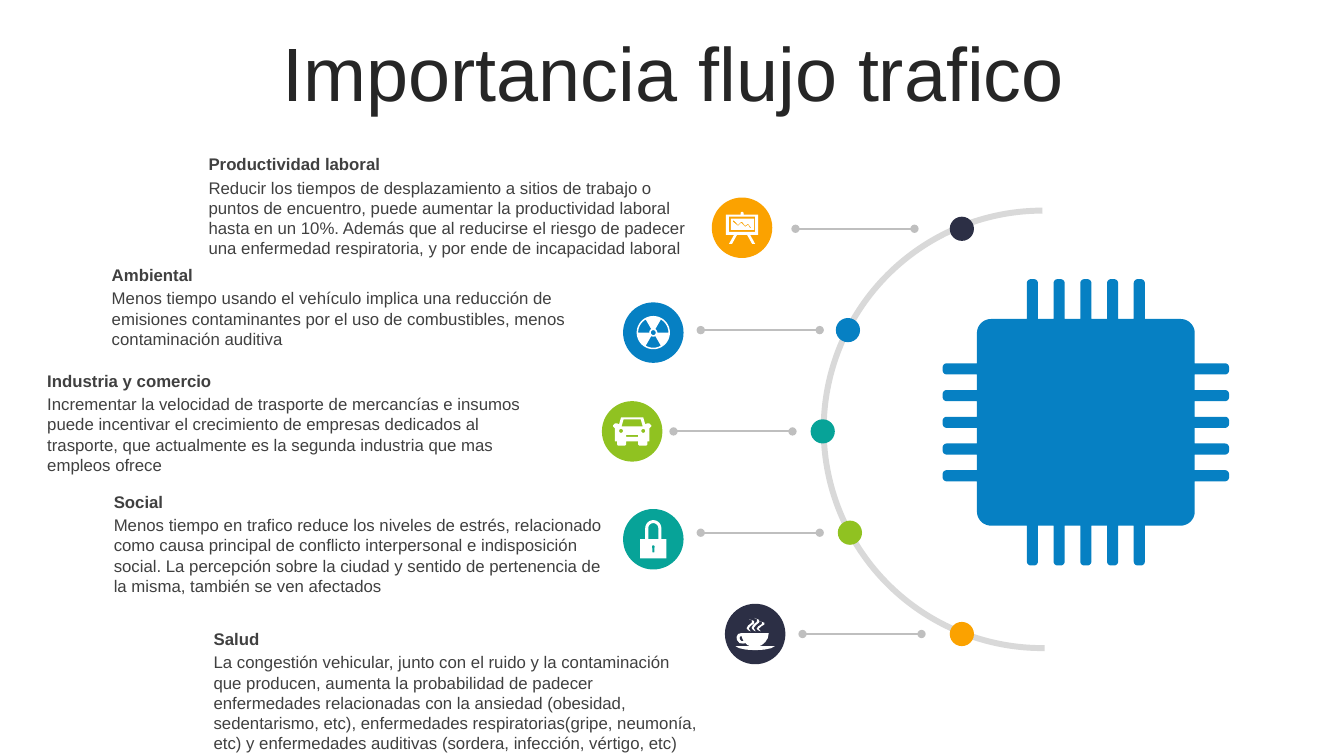
from math import cos, radians, sin

from lxml.etree import SubElement
from pptx import Presentation
from pptx.dml.color import RGBColor
from pptx.enum.shapes import MSO_CONNECTOR, MSO_SHAPE
from pptx.enum.text import MSO_ANCHOR, MSO_AUTO_SIZE, PP_ALIGN
from pptx.oxml.ns import qn
from pptx.util import Inches, Pt

NAVY = RGBColor(0x2C, 0x2F, 0x45)
BLUE = RGBColor(0x06, 0x80, 0xC3)
TEAL = RGBColor(0x07, 0xA3, 0x98)
GREEN = RGBColor(0x90, 0xC2, 0x21)
ORANGE = RGBColor(0xFB, 0xA2, 0x00)
WHITE = RGBColor(0xFF, 0xFF, 0xFF)
BLACK = RGBColor(0x26, 0x26, 0x26)
GRAY = RGBColor(0x40, 0x40, 0x40)
SILVER = RGBColor(0xBF, 0xBF, 0xBF)
PALE = RGBColor(0xD9, 0xD9, 0xD9)
FONT = "Arial"


def arc(x, y, r, start, end, steps=12):
    """Points along a circle, with angles in degrees clockwise from the right."""
    angles = [radians(start + (end - start) * i / steps) for i in range(steps + 1)]
    return [(x + r * cos(a), y + r * sin(a)) for a in angles]


def rect(left, top, right, bottom):
    return [(left, top), (right, top), (right, bottom), (left, bottom)]


def mirror(half):
    return half + [(-x, y) for x, y in reversed(half)]


def easel():
    frame = [(0, -16), (-1.5, -15), (-1.5, -13), (-16, -13), (-16, 7), (-8, 7),
             (-13, 16), (-10, 16), (-5, 7)]
    graph = [(-9, -7), (-8, -7), (-4, -3), (-1, -6), (0, -6), (3, -2), (6, -4), (9, 0),
             (8, 0.5), (6, -3), (3, -1), (-1, -5), (-4, -2), (-9, -6)]
    return [mirror(frame), rect(-13, -11, 13, 4), rect(-11, -9, 12, 2), graph]


def atom():
    blades = [arc(0, 0, 15, a, a + 60) + arc(0, 0, 4, a + 60, a) for a in (60, 180, 300)]
    return [arc(0, 0, 16.5, 0, 360, 48), arc(0, 0, 2.5, 0, 360)] + blades


def car():
    body = [(11, -14), (13, -7), (15, -8), (17, -8), (19, -6), (19, -5), (17, -3), (17, 10),
            (15, 10), (15, 13), (14, 14), (7, 14), (6, 13), (6, 10)]
    lamps = [arc(x, -0.5, 2, 0, 360) for x in (-11, 11)]
    return [mirror(body), mirror([(8.5, -12), (10.5, -5)]), rect(-6, 3.5, 6, 5.5)] + lamps


def lock():
    body = arc(0, -11, 8, 180, 360) + [(8, 0), (13, 0), (13, 19), (-13, 19), (-13, 0), (-8, 0)]
    hole = arc(0, -11, 5, 180, 360) + [(5, 0), (-5, 0)]
    key = arc(0, 7.5, 1.5, 180, 360) + [(1, 9), (1, 13), (-1, 13), (-1, 9)]
    return [body, hole, key]


def cup():
    bowl = [(-13.5, -1), (13.5, -1), (12.5, 4), (10, 8), (6.5, 11), (4, 12), (19.5, 12),
            (16, 14), (9, 15.5), (0, 16), (-9, 15.5), (-16, 14), (-19.5, 12), (-5, 12),
            (-7.5, 11), (-9.5, 9), (-12, 9.5), (-15.5, 9), (-18, 6), (-18.5, 3), (-17, 0)]
    grip = [(-13.5, 2), (-12.5, 5), (-11.5, 7), (-13.5, 7), (-15, 5.5), (-15.5, 4), (-15, 2.5)]
    steam = [(-1, -13), (2, -11.5), (1.5, -9), (-2, -6), (-3.5, -3), (-2, -1), (0.5, 0.5),
             (-1.5, -3), (1, -6), (4, -8.5), (4, -11)]
    plumes = [[(x + shift, y * tall - 3) for x, y in steam]
              for shift, tall in ((-5, 0.9), (0, 1), (5, 0.75))]
    return [bowl, grip] + plumes


ITEMS = [  # heading, text, lines, text corner, icon centre, icon, colour, line end, dot
    ("Productividad laboral",
     "Reducir los tiempos de desplazamiento a sitios de trabajo o puntos de encuentro, puede "
     "aumentar la productividad laboral hasta en un 10%. Además que al reducirse el riesgo de "
     "padecer una enfermedad respiratoria, y por ende de incapacidad laboral",
     4, (1.97, 1.48), (7.36, 2.26), easel, ORANGE, 9.07, 9.54, NAVY),
    ("Ambiental",
     "Menos tiempo usando el vehículo implica una reducción de emisiones contaminantes por el "
     "uso de combustibles, menos contaminación auditiva",
     3, (1.01, 2.58), (6.48, 3.3), atom, BLUE, 8.13, 8.41, BLUE),
    ("Industria y comercio",
     "Incrementar la velocidad de trasporte de mercancías e insumos puede incentivar el "
     "crecimiento de empresas dedicados al trasporte, que actualmente es la segunda industria "
     "que mas empleos ofrece",
     4, (0.37, 3.63), (6.27, 4.28), car, GREEN, 7.86, 8.16, TEAL),
    ("Social",
     "Menos tiempo en trafico reduce los niveles de estrés, relacionado como causa principal "
     "de conflicto interpersonal e indisposición social. La percepción sobre la ciudad y "
     "sentido de pertenencia de la misma, también se ven afectados",
     4, (1.03, 4.83), (6.48, 5.35), lock, TEAL, 8.13, 8.43, GREEN),
    ("Salud",
     "La congestión vehicular, junto con el ruido y la contaminación que producen, aumenta la "
     "probabilidad de padecer enfermedades relacionadas con la ansiedad (obesidad, "
     "sedentarismo, etc), enfermedades respiratorias(gripe, neumonía, etc) y enfermedades "
     "auditivas (sordera, infección, vértigo, etc)",
     5, (2.02, 6.19), (7.49, 6.29), cup, NAVY, 9.14, 9.54, ORANGE),
]


def paint(shape, color):
    shape.shadow.inherit = False
    shape.fill.solid()
    shape.fill.fore_color.rgb = color
    shape.line.fill.background()


def trace(shapes, rings, x, y, unit, color):
    """Draw rings of points around (x, y) as one shape; inner rings cut holes."""
    rings = [[(Inches(x + u * unit), Inches(y + v * unit)) for u, v in ring] for ring in rings]
    pen = shapes.build_freeform(*rings[0][0])
    for i, ring in enumerate(rings):
        if i:
            pen.move_to(*ring[0])
        pen.add_line_segments(ring[1:], close=True)
    paint(pen.convert_to_shape(), color)


def disc(shapes, x, y, size, color):
    paint(shapes.add_shape(MSO_SHAPE.OVAL, Inches(x - size / 2), Inches(y - size / 2),
                           Inches(size), Inches(size)), color)


def style(run, size, color, bold=False):
    run.font.name, run.font.size, run.font.bold = FONT, Pt(size), bold
    run.font.color.rgb = color


def add_title(slide, left, top, width, height):
    title = slide.shapes.title
    title.left, title.top = Inches(left), Inches(top)
    title.width, title.height = Inches(width), Inches(height)
    frame = title.text_frame
    frame.text = "Importancia flujo trafico"
    frame.auto_size, frame.vertical_anchor = MSO_AUTO_SIZE.NONE, MSO_ANCHOR.MIDDLE
    para = frame.paragraphs[0]
    para.alignment, para.line_spacing = PP_ALIGN.CENTER, 0.9
    style(para.runs[0], 54, BLACK)


def add_note(shapes, left, top, head, text, lines):
    group = shapes.add_group_shape()
    for words, drop, height, bold in ((text, 0.23, 0.11 + 0.2 * lines, False),
                                      (head, 0, 0.3, True)):
        box = group.shapes.add_textbox(Inches(left), Inches(top + drop),
                                       Inches(5.05), Inches(height))
        frame = box.text_frame
        frame.word_wrap, frame.auto_size = True, MSO_AUTO_SIZE.SHAPE_TO_FIT_TEXT
        frame.text = words
        style(frame.paragraphs[0].runs[0], 12, GRAY, bold)


def add_link(shapes, right, y, length):
    link = shapes.add_connector(MSO_CONNECTOR.STRAIGHT, Inches(right), Inches(y),
                                Inches(right - length), Inches(y))
    link.line.color.rgb, link.line.width = SILVER, Pt(1.5)
    props = link._element.spPr
    for end in ("a:headEnd", "a:tailEnd"):
        SubElement(props.find(qn("a:ln")), qn(end), type="oval")
    SubElement(props, qn("a:effectLst"))


def add_curve(shapes, left, top, size):
    curve = shapes.add_shape(MSO_SHAPE.ARC, Inches(left), Inches(top),
                             Inches(size), Inches(size))
    curve.adjustments[0], curve.adjustments[1] = 53.67, 162
    curve.shadow.inherit = False
    curve.fill.background()
    curve.line.color.rgb, curve.line.width = PALE, Pt(4.25)


def add_chip(shapes, x, y, wide, high):
    """Walk the four sides of the chip, turning a quarter after each."""
    tip, ring = 1.42, []
    for turn in range(4):
        along, out = (wide / 2, high / 2) if turn % 2 == 0 else (high / 2, wide / 2)
        side = arc(0.14 - along, 0.14 - out, 0.14, 180, 270)
        for i in range(5):
            mid = 0.265 * (i - 2)
            side += [(mid - 0.055, -out)] + arc(mid - 0.015, 0.04 - tip, 0.04, 180, 270)
            side += arc(mid + 0.015, 0.04 - tip, 0.04, 270, 360) + [(mid + 0.055, -out)]
        for _ in range(turn):
            side = [(-v, u) for u, v in side]
        ring += side
    trace(shapes, [ring], x, y, 1, BLUE)


def main():
    deck = Presentation()
    deck.slide_width, deck.slide_height = Inches(13.33), Inches(7.5)
    slide = deck.slides.add_slide(deck.slide_layouts[5])
    shapes = slide.shapes
    add_title(slide, 0.35, 0.37, 12.66, 0.79)
    add_curve(shapes, 8.17, 2.09, 4.34)
    add_chip(shapes, 10.77, 4.19, 2.16, 2.05)
    for i, (head, text, lines, spot, hub, icon, color, end, dot, tint) in enumerate(ITEMS):
        y = 2.27 + 4.02 * i / 4
        add_note(shapes, *spot, head, text, lines)
        disc(shapes, *hub, 0.6, color)
        trace(shapes, icon(), *hub, 0.01, WHITE)
        add_link(shapes, end, y, 1.18)
        disc(shapes, dot, y, 0.24, tint)
    deck.save("out.pptx")


if __name__ == "__main__":
    main()
